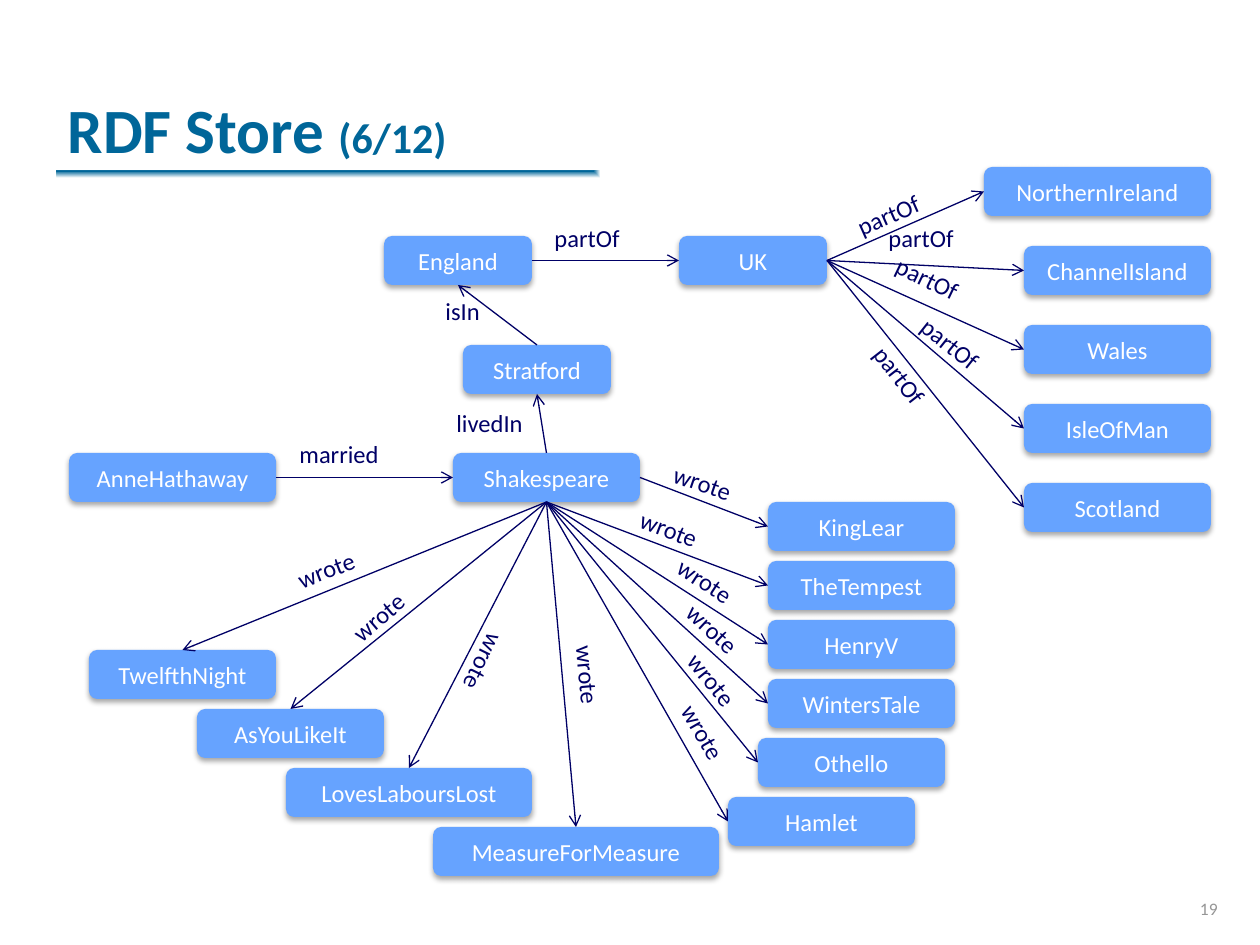
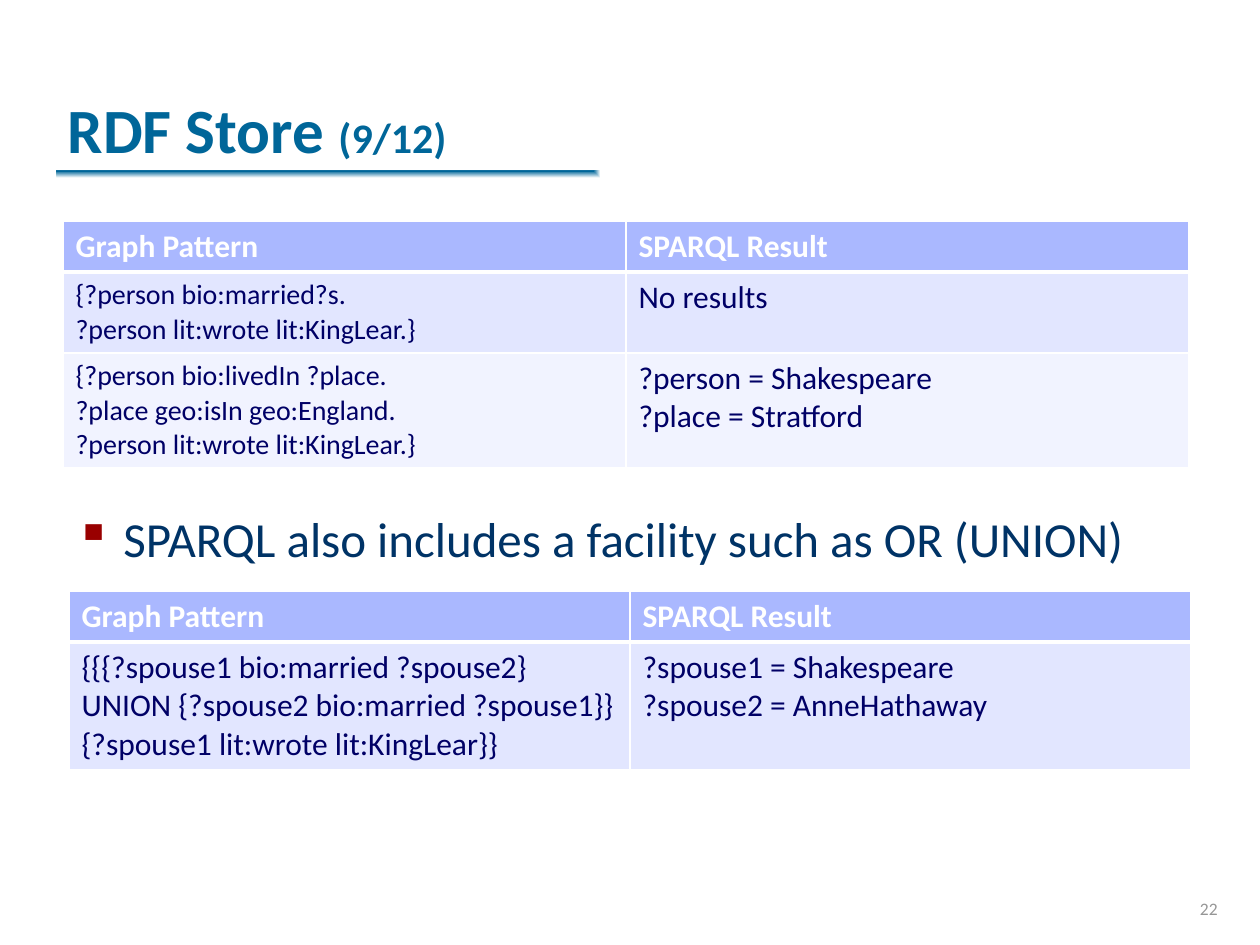
from dataclasses import dataclass

from lxml import etree
from pptx import Presentation
from pptx import util as u
from pptx.dml.color import RGBColor
from pptx.enum import shapes as sh
from pptx.enum import text as tx
from pptx.oxml import ns, parse_xml

PX = 914400 / 126  # EMU in one px


@dataclass(frozen=True)
class Theme:
    font: str = "Calibri"
    title: str = "006699"
    node: str = "66A3FF"
    ink: str = "000066"
    body: str = "003366"
    mark: str = "990000"
    page: str = "969696"
    white: str = "FFFFFF"
    head: str = "AAB8FF"
    rows: tuple = ("E2E6FF", "F1F3FF")
    big: int = 36
    count: int = 24
    point: int = 28
    cell: int = 18
    code: int = 16
    label: int = 14
    small: int = 10


T = Theme()

# Connection sites of a rounded rectangle
TOP, LEFT, BOTTOM, RIGHT = range(4)

# Graph nodes: name -> left, top, width
NODE_H = 49
NODES = {
    "England": (384, 236, 148),
    "UK": (679, 236, 148),
    "Stratford": (463, 345, 148),
    "Shakespeare": (453, 453, 187),
    "AnneHathaway": (69, 453, 207),
    "NorthernIreland": (984, 167, 227),
}
LANDS = ["ChannelIsland", "Wales", "IsleOfMan", "Scotland"]
NODES |= {name: (1024, 246 + 79 * i, 187) for i, name in enumerate(LANDS)}

# Plays run down in two stairs with the same step
STEP = 59
EAST = [("KingLear", 768), ("TheTempest", 768), ("HenryV", 768),
        ("WintersTale", 768), ("Othello", 758), ("Hamlet", 728)]
WEST = [("TwelfthNight", 89, 187), ("AsYouLikeIt", 197, 187),
        ("LovesLaboursLost", 286, 246), ("MeasureForMeasure", 433, 286)]
NODES |= {name: (x, 502 + STEP * i, 187) for i, (name, x) in enumerate(EAST)}
NODES |= {name: (x, 650 + STEP * i, w) for i, (name, x, w) in enumerate(WEST)}

# Edges: start, its side, end, its side, label, label left, label top, turn
BARD = "Shakespeare"
EDGES = [
    ("England", RIGHT, "UK", LEFT, "partOf", 542, 217, 0),
    ("Stratford", TOP, "England", BOTTOM, "isIn", 433, 290, 0),
    (BARD, TOP, "Stratford", BOTTOM, "livedIn", 444, 402, 0),
    ("AnneHathaway", RIGHT, BARD, LEFT, "married", 287, 433, 0),
    (BARD, RIGHT, "KingLear", LEFT, "wrote", 659, 472, 19),
]
EDGES += [("UK", RIGHT, end, LEFT, "partOf", *spot) for end, *spot in [
    ("NorthernIreland", 842, 188, -24),
    ("ChannelIsland", 876, 217, 0),
    ("Wales", 881, 263, 25.7),
    ("IsleOfMan", 902, 331, 38.5),
    ("Scotland", 849, 365, 52.1),
]]
EDGES += [(BARD, BOTTOM, end, side, "wrote", *spot) for end, side, *spot in [
    ("TheTempest", LEFT, 625, 519, 20.9),
    ("HenryV", LEFT, 658, 577, 33),
    ("WintersTale", LEFT, 662, 629, 42.9),
    ("Othello", LEFT, 658, 683, 50.9),
    ("Hamlet", LEFT, 645, 738, 60.2),
    ("MeasureForMeasure", TOP, 517, 685, 84.9),
    ("LovesLaboursLost", TOP, 396, 669, 116.4),
    ("AsYouLikeIt", TOP, 329, 575, -40.4),
    ("TwelfthNight", TOP, 282, 537, -21.1),
]]

# Query tables: each row is pattern, result, pattern size
HEAD = ("Graph Pattern", "SPARQL Result", T.cell)
JOINS = [
    HEAD,
    ("{?person bio:married?s.\n?person lit:wrote lit:KingLear.}",
     "No results", T.code),
    ("{?person bio:livedIn ?place.\n?place geo:isIn geo:England.\n"
     "?person lit:wrote lit:KingLear.}",
     "?person = Shakespeare\n?place = Stratford", T.code),
]
UNION = [
    HEAD,
    ("{{{?spouse1 bio:married ?spouse2}\n"
     "UNION {?spouse2 bio:married ?spouse1}}\n"
     "{?spouse1 lit:wrote lit:KingLear}}",
     "?spouse1 = Shakespeare\n?spouse2 = AnneHathaway", T.cell),
]


# Basics

def emu(*vals):
    return [u.Emu(round(v * PX)) for v in vals]


def rgb(code):
    return RGBColor.from_string(code)


def ink(run, size, color, bold=False):
    font = run.font
    font.name, font.size, font.bold = T.font, u.Pt(size), bold
    font.color.rgb = rgb(color)


def style(frame, size, color, bold=False, align=None):
    for par in frame.paragraphs:
        par.alignment = align
        for run in par.runs:
            ink(run, size, color, bold)


def add(parent, tag, **attrs):
    return etree.SubElement(parent, ns.qn(tag), attrs)


def xml(body):
    return parse_xml(body.replace(">", f" {ns.nsdecls('a')}>", 1))


def box(slide, text, at, size, color, align=None):
    shape = slide.shapes.add_textbox(*emu(*at))
    frame = shape.text_frame
    frame.word_wrap = True
    frame.text = text
    style(frame, size, color, align=align)
    return shape


# Parts that all slides share

def band(slide):
    bar = slide.shapes.add_shape(sh.MSO_SHAPE.RECTANGLE,
                                 *emu(57, 171, 1087, 14))
    bar.shadow.inherit = False
    bar.line.fill.background()
    bar.fill.background()
    props = bar._element.spPr
    fade = xml(
        '<a:gradFill rotWithShape="1"><a:gsLst>'
        f'<a:gs pos="0"><a:srgbClr val="{T.title}"/></a:gs>'
        f'<a:gs pos="100000"><a:srgbClr val="{T.white}"/></a:gs></a:gsLst>'
        '<a:path path="rect"><a:fillToRect r="100000" b="100000"/></a:path>'
        '</a:gradFill>')
    props.replace(props.find(ns.qn("a:noFill")), fade)


def base(deck, count, page):
    slide = deck.slides.add_slide(deck.slide_layouts[5])
    band(slide)
    title = slide.shapes.title
    title.left, title.top, title.width, title.height = emu(55, 15, 1071, 157)
    frame = title.text_frame
    frame.auto_size = tx.MSO_AUTO_SIZE.NONE
    frame.vertical_anchor = tx.MSO_ANCHOR.BOTTOM
    frame.text = "RDF Store "
    style(frame, T.big, T.title, True, tx.PP_ALIGN.LEFT)
    run = frame.paragraphs[0].add_run()
    run.text = count
    ink(run, T.count, T.title, True)
    foot = box(slide, page, (968, 862, 262, 63), T.small, T.page,
               tx.PP_ALIGN.RIGHT)
    foot.text_frame.vertical_anchor = tx.MSO_ANCHOR.BOTTOM
    return slide


# Graph

def node(slide, name, x, y, w):
    shape = slide.shapes.add_shape(sh.MSO_SHAPE.ROUNDED_RECTANGLE,
                                   *emu(x, y, w, NODE_H))
    shape.fill.solid()
    shape.fill.fore_color.rgb = rgb(T.node)
    shape.line.fill.background()
    shape._element.spPr.append(xml(
        '<a:effectLst><a:outerShdw blurRad="40000" dist="23000" dir="5400000"'
        ' rotWithShape="0"><a:srgbClr val="000000"><a:alpha val="35000"/>'
        '</a:srgbClr></a:outerShdw></a:effectLst>'))
    frame = shape.text_frame
    frame.word_wrap = False
    frame.vertical_anchor = tx.MSO_ANCHOR.MIDDLE
    frame.text = name
    style(frame, T.label, T.white, align=tx.PP_ALIGN.CENTER)
    return shape


def arrow(slide, start, out, end, into):
    line = slide.shapes.add_connector(sh.MSO_CONNECTOR.STRAIGHT, 0, 0, 0, 0)
    line.begin_connect(start, out)
    line.end_connect(end, into)
    line.line.width = u.Pt(0.75)
    line.line.color.rgb = rgb(T.ink)
    add(line.line._get_or_add_ln(), "a:tailEnd", type="arrow")
    add(line._element.spPr, "a:effectLst")


def label(slide, text, x, y, turn):
    wide = 147 if text in ("wrote", "married") else 118
    shape = box(slide, text, (x, y, wide, 43), T.label, T.ink)
    shape.text_frame.auto_size = tx.MSO_AUTO_SIZE.SHAPE_TO_FIT_TEXT
    shape.rotation = turn


def graph(slide):
    made = {name: node(slide, name, *at) for name, at in NODES.items()}
    for start, out, end, into, *_ in EDGES:
        arrow(slide, made[start], out, made[end], into)
    for *_, text, x, y, turn in EDGES:
        label(slide, text, x, y, turn)


# Tables and bullet

def edge(cell, row):
    props = cell._tc.get_or_add_tcPr()
    thick = {"L": 1, "R": 1, "T": 3 if row == 1 else 1,
             "B": 3 if row == 0 else 1}
    for side, width in thick.items():
        line = add(props, f"a:ln{side}", w=str(u.Pt(width)))
        add(add(line, "a:solidFill"), "a:srgbClr", val=T.white)


def grid(slide, x, y, col, highs, rows):
    frame = slide.shapes.add_table(len(rows), 2,
                                   *emu(x, y, 2 * col, sum(highs)))
    table = frame.table
    table.horz_banding = False
    for column in table.columns:
        column.width = emu(col)[0]
    for r, (*texts, size) in enumerate(rows):
        table.rows[r].height = emu(highs[r])[0]
        for c, text in enumerate(texts):
            cell = table.cell(r, c)
            edge(cell, r)
            cell.fill.solid()
            cell.fill.fore_color.rgb = rgb(T.rows[r - 1] if r else T.head)
            cell.text_frame.text = text
            style(cell.text_frame, T.cell if c else size,
                  T.ink if r else T.white, r == 0)


def point(slide, text, at):
    shape = box(slide, text, at, T.point, T.body)
    props = shape.text_frame.paragraphs[0]._p.get_or_add_pPr()
    dent = emu(48)[0]
    props.set("marL", str(dent))
    props.set("indent", str(-dent))
    add(add(props, "a:buClr"), "a:srgbClr", val=T.mark)
    add(props, "a:buChar", char="▪")


def main():
    deck = Presentation()
    deck.slide_width, deck.slide_height = emu(1260, 945)

    graph(base(deck, "(6/12)", "19"))

    slide = base(deck, "(9/12)", "22")
    grid(slide, 63, 221, 563, (51, 81, 115), JOINS)
    point(slide, "SPARQL also includes a facility such as OR (UNION)",
          (63, 502, 1126, 333))
    grid(slide, 69, 591, 561, (51, 128), UNION)

    deck.save("out.pptx")


if __name__ == "__main__":
    main()
